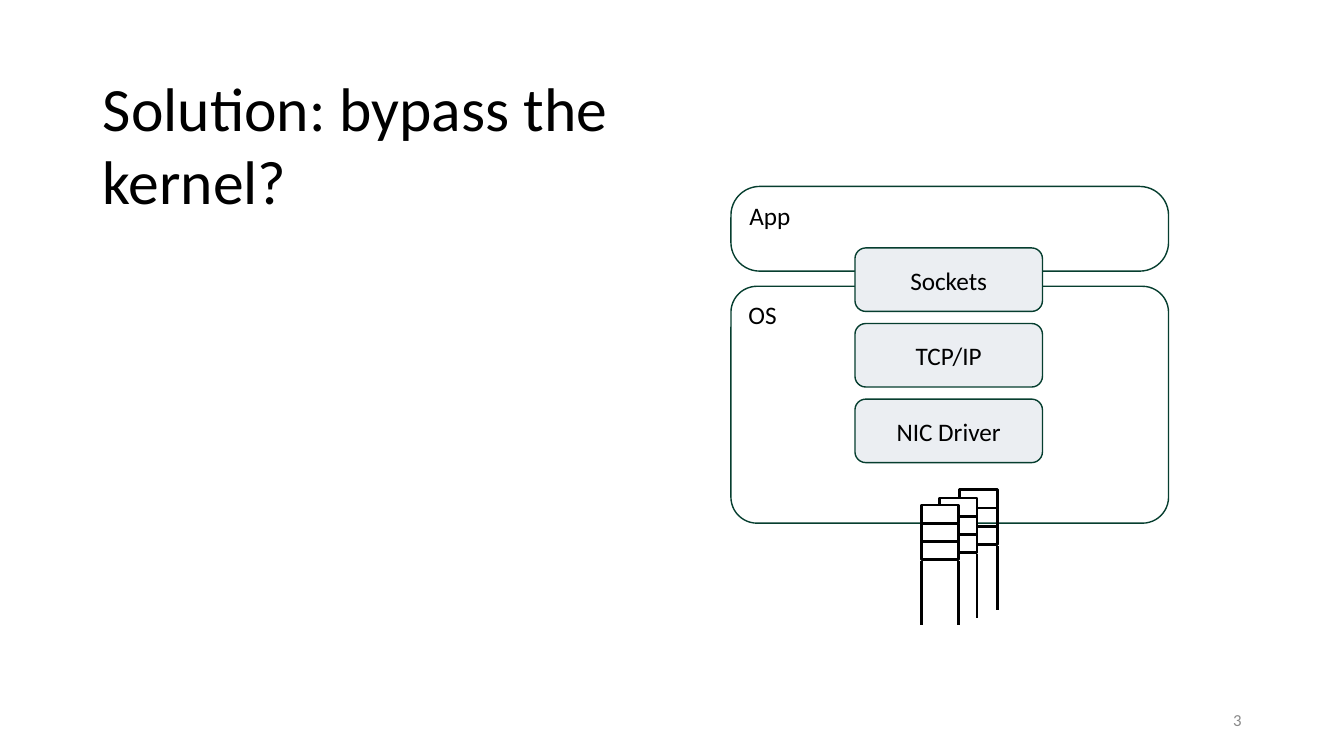
from lxml import etree
from pptx import Presentation
from pptx.dml.color import RGBColor
from pptx.enum.shapes import MSO_CONNECTOR, MSO_SHAPE
from pptx.enum.text import MSO_ANCHOR, PP_ALIGN
from pptx.oxml.ns import qn
from pptx.util import Inches, Pt

BLACK, GREEN, PALE, WHITE, GREY = "000000", "063E2F", "EBEEF2", "FFFFFF", "898989"


def rgb(value):
    return RGBColor.from_string(value)


def set_text(s, text, size, color=BLACK, align=PP_ALIGN.LEFT,
             anchor=MSO_ANCHOR.TOP, left=0, top=0.01):
    """Write one paragraph into a shape; left and top are insets in inches."""
    tf = s.text_frame
    tf.word_wrap = True
    tf.vertical_anchor = anchor
    tf.margin_left, tf.margin_top = Inches(left), Inches(top)
    tf.margin_right = tf.margin_bottom = 0
    tf.text = text
    p = tf.paragraphs[0]
    p.alignment = align
    font = p.runs[0].font
    font.name, font.size, font.color.rgb = "Calibri", Pt(size), rgb(color)


prs = Presentation()
prs.slide_width, prs.slide_height = Inches(13.33), Inches(7.5)
slide = prs.slides.add_slide(prs.slide_layouts[6])
shapes = slide.shapes

# Title and slide number
title = shapes.add_textbox(Inches(1.02), Inches(0.68), Inches(6.7), Inches(1.5))
set_text(title, "Solution: bypass the kernel?", 44)
number = shapes.add_textbox(Inches(12.23), Inches(7.03), Inches(0.2), Inches(0.23))
set_text(number, "3", 12, GREY)

# App and OS frames
for name, y, height, rounding in [("OS", 2.84, 2.35, 0.11), ("App", 1.85, 0.84, 0.34)]:
    s = shapes.add_shape(MSO_SHAPE.ROUNDED_RECTANGLE, Inches(7.25), Inches(y),
                         Inches(4.34), Inches(height))
    s.adjustments[0] = rounding
    s.shadow.inherit = False
    s.fill.background()
    s.line.color.rgb, s.line.width = rgb(GREEN), Pt(1)
    set_text(s, name, 18, left=0.1, top=0.05)

# Kernel stack layers
for i, name in enumerate(["Sockets", "TCP/IP", "NIC Driver"]):
    s = shapes.add_shape(MSO_SHAPE.ROUNDED_RECTANGLE, Inches(8.48),
                         Inches(2.46 + 0.75 * i), Inches(1.86), Inches(0.63))
    s.adjustments[0] = 0.17
    s.shadow.inherit = False
    s.fill.solid()
    s.fill.fore_color.rgb = rgb(PALE)
    s.line.color.rgb, s.line.width = rgb(GREEN), Pt(1)
    set_text(s, name, 18, align=PP_ALIGN.CENTER, anchor=MSO_ANCHOR.MIDDLE)

# NIC queues from back to front: position, filled cells, rails
CELL_W, CELL_H = 0.37, 0.18
RIGHT_RAIL, BOTH_RAILS = [CELL_W], [0, CELL_W]
queues = [(9.52, 4.86, 1, RIGHT_RAIL), (9.32, 4.94, 3, RIGHT_RAIL),
          (9.14, 5.01, 3, BOTH_RAILS)]
for x, y, filled, rails in queues:
    for i in range(3):
        s = shapes.add_shape(MSO_SHAPE.RECTANGLE, Inches(x), Inches(y + CELL_H * i),
                             Inches(CELL_W), Inches(CELL_H))
        s.shadow.inherit = False
        if i < filled:
            s.fill.solid()
            s.fill.fore_color.rgb = rgb(WHITE)
        else:
            s.fill.background()
        s.line.color.rgb, s.line.width = rgb(BLACK), Pt(2)
    for dx in rails:
        rail = shapes.add_connector(MSO_CONNECTOR.STRAIGHT, Inches(x + dx), Inches(y + 0.56),
                                    Inches(x + dx), Inches(y + 1.19))
        rail.line.color.rgb, rail.line.width = rgb(BLACK), Pt(2)
        etree.SubElement(rail._element.spPr, qn("a:effectLst"))

prs.save("out.pptx")
